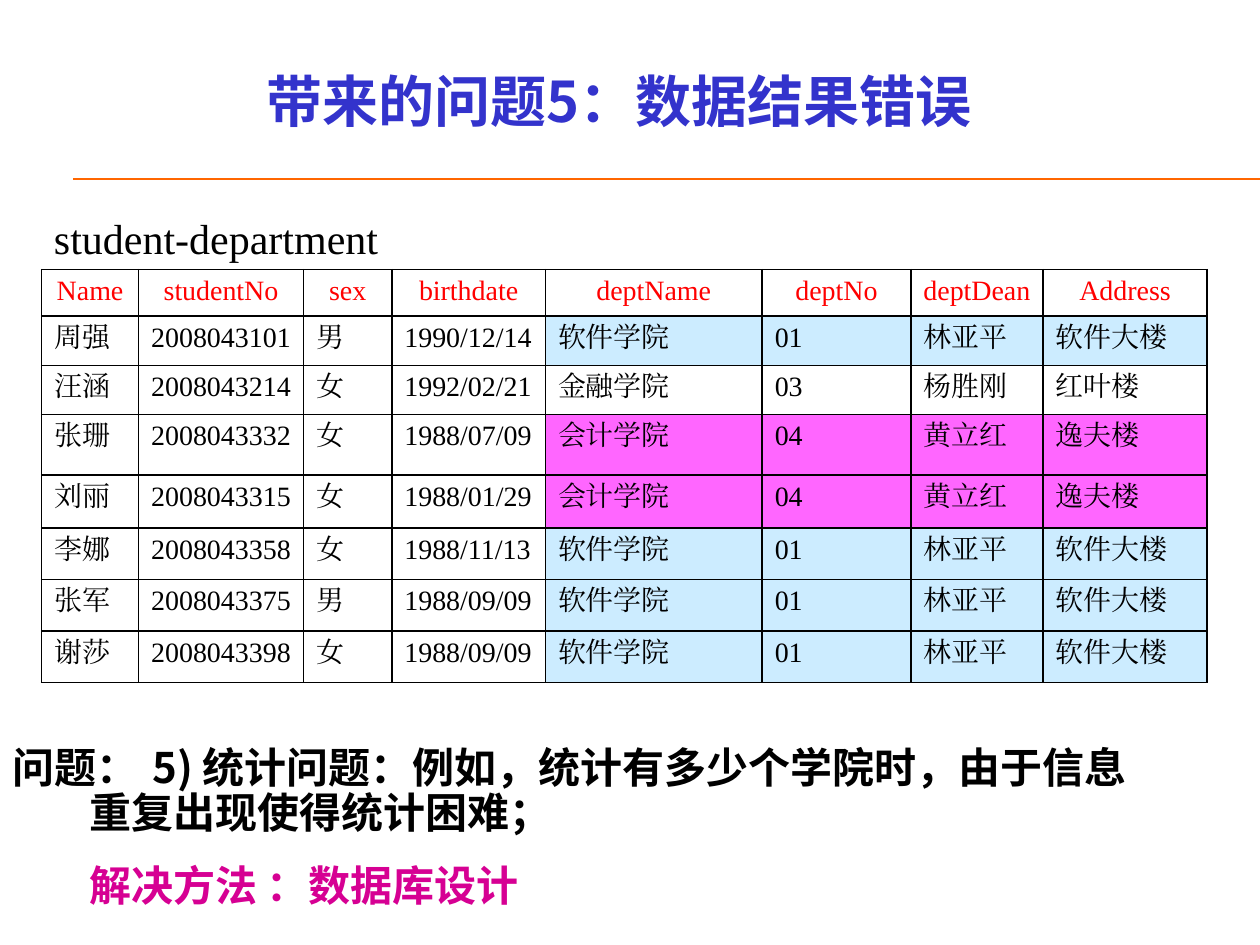
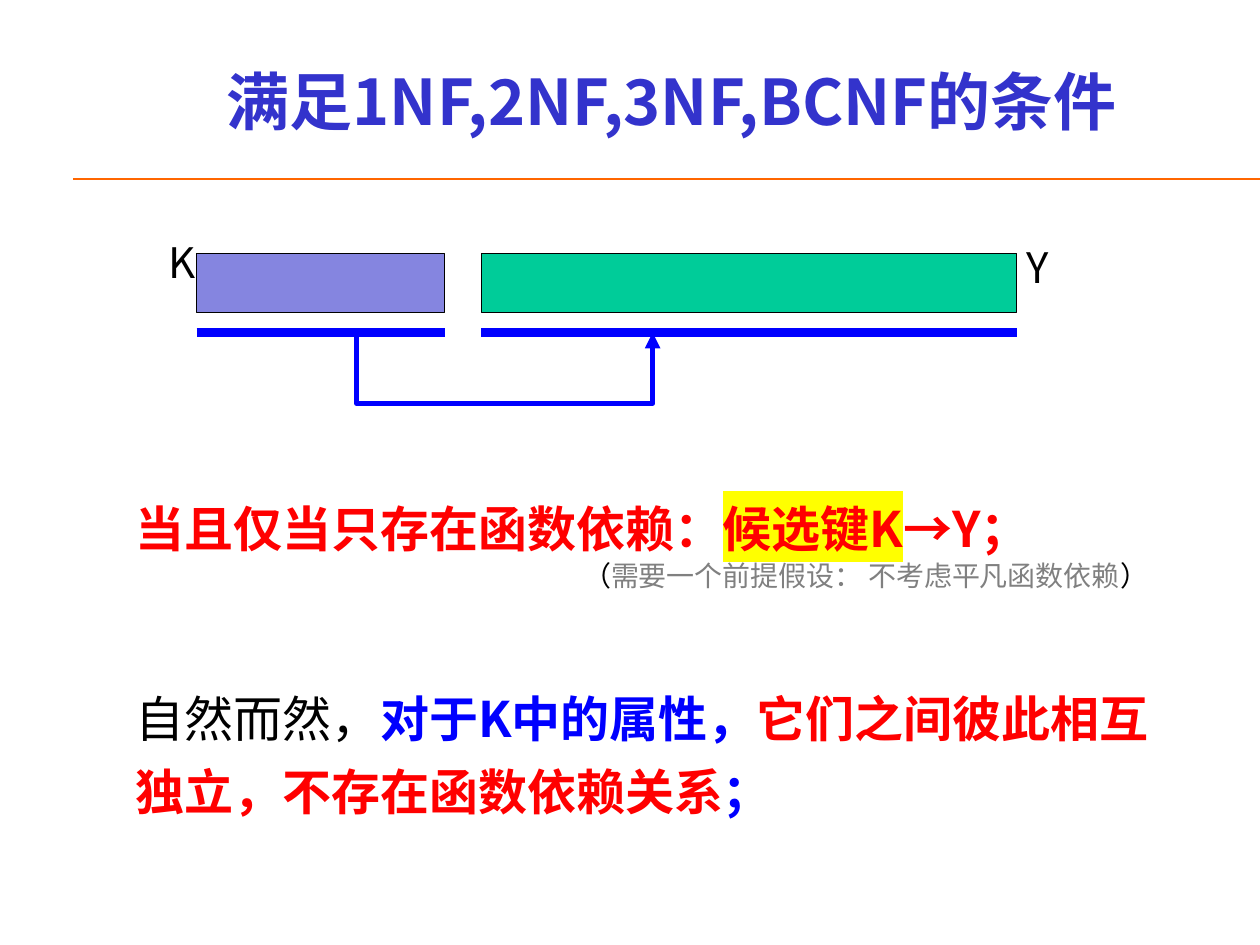
from lxml.etree import SubElement
from pptx import Presentation
from pptx.dml.color import RGBColor
from pptx.enum.shapes import MSO_CONNECTOR, MSO_SHAPE
from pptx.enum.text import MSO_ANCHOR, MSO_AUTO_SIZE, PP_ALIGN
from pptx.oxml.ns import qn
from pptx.util import Inches, Pt

SANS, SERIF = "Noto Sans CJK SC", "Times New Roman"
BLACK, RED, BLUE, GREY = "000000", "FF0000", "0000FF", "808080"
TITLE_BLUE, RULE_ORANGE, MAGENTA = "3333CC", "FF6600", "D60093"
KEY_FILL, REST_FILL, YELLOW = "8585E0", "00CC99", "FFFF00"

COL_WIDTHS = [0.77, 1.31, 0.7, 1.22, 1.72, 1.18, 1.05, 1.3]
ROW_HEIGHTS = [0.37, 0.39, 0.39, 0.48, 0.42, 0.41, 0.41, 0.41]
HEADINGS = ["Name", "studentNo", "sex", "birthdate",
            "deptName", "deptNo", "deptDean", "Address"]
DEPARTMENTS = {
    "01": ["软件学院", "01", "林亚平", "软件大楼"],
    "03": ["金融学院", "03", "杨胜刚", "红叶楼"],
    "04": ["会计学院", "04", "黄立红", "逸夫楼"],
}
DEPARTMENT_FILLS = {"01": "CCECFF", "04": "FF66FF"}
STUDENTS = [
    ("周强", "2008043101", "男", "1990/12/14", "01"),
    ("汪涵", "2008043214", "女", "1992/02/21", "03"),
    ("张珊", "2008043332", "女", "1988/07/09", "04"),
    ("刘丽", "2008043315", "女", "1988/01/29", "04"),
    ("李娜", "2008043358", "女", "1988/11/13", "01"),
    ("张军", "2008043375", "男", "1988/09/09", "01"),
    ("谢莎", "2008043398", "女", "1988/09/09", "01"),
]


def rgb(color):
    return RGBColor.from_string(color)


def place(shape, *box):
    for side, value in zip(("left", "top", "width", "height"), box):
        setattr(shape, side, Inches(value))


def add_run(p, text, size, color=BLACK, bold=False, font=SANS, highlight=None):
    r = p.add_run()
    r.text = text
    for name, value in {"size": Pt(size), "bold": bold, "name": font}.items():
        setattr(r.font, name, value)
    r.font.color.rgb = rgb(color)
    rPr = r.font._element
    east_asian = SubElement(rPr, qn("a:ea"), typeface=font)
    rPr.find(qn("a:latin")).addnext(east_asian)
    if highlight:
        mark = SubElement(rPr, qn("a:highlight"))
        SubElement(mark, qn("a:srgbClr"), val=highlight)
        rPr.find(qn("a:solidFill")).addnext(mark)


def format_paragraph(p, **values):
    for name, value in values.items():
        setattr(p, name, value)


def add_text(s, box, runs, wrap=True, anchor=MSO_ANCHOR.TOP, **values):
    """Add a text box whose first paragraph holds the runs."""
    tf = s.shapes.add_textbox(*map(Inches, box)).text_frame
    tf.word_wrap = wrap
    tf.vertical_anchor = anchor
    p = tf.paragraphs[0]
    format_paragraph(p, **values)
    for text, fmt in runs:
        add_run(p, text, **fmt)
    return tf


def add_line(s, start, end, color, width):
    line = s.shapes.add_connector(
        MSO_CONNECTOR.STRAIGHT, *map(Inches, (*start, *end)))
    line.line.color.rgb = rgb(color)
    line.line.width = Pt(width)
    SubElement(line._element.spPr, qn("a:effectLst"))


def add_titled_slide(prs, layout, title, box, size):
    s = prs.slides.add_slide(prs.slide_layouts[layout])
    add_line(s, (0.58, 1.42), (10, 1.42), RULE_ORANGE, 0.75)
    place(s.shapes.title, *box)
    tf = s.shapes.title.text_frame
    tf.auto_size = MSO_AUTO_SIZE.NONE
    tf.vertical_anchor = MSO_ANCHOR.MIDDLE
    tf.paragraphs[0].alignment = PP_ALIGN.CENTER
    add_run(tf.paragraphs[0], title, size, TITLE_BLUE, True)
    return s


def border_cell(cell):
    tcPr = cell._tc.get_or_add_tcPr()
    for i, side in enumerate(("lnL", "lnR", "lnT", "lnB")):
        ln = SubElement(tcPr, qn(f"a:{side}"), w=str(Pt(1)))
        fill = SubElement(ln, qn("a:solidFill"))
        SubElement(fill, qn("a:srgbClr"), val=BLACK)
        tcPr.insert(i, ln)


def fill_cell(cell, text, color, align, fill=None):
    if fill:
        cell.fill.solid()
        cell.fill.fore_color.rgb = rgb(fill)
    else:
        cell.fill.background()
    border_cell(cell)
    p = cell.text_frame.paragraphs[0]
    p.alignment = align
    add_run(p, text, 16, color, font=SERIF)


def add_student_table(s, left, top):
    table = s.shapes.add_table(
        len(ROW_HEIGHTS), len(COL_WIDTHS), Inches(left), Inches(top),
        Inches(sum(COL_WIDTHS)), Inches(sum(ROW_HEIGHTS))).table
    table.first_row = table.horz_banding = False
    for column, width in zip(table.columns, COL_WIDTHS):
        column.width = Inches(width)
    for row, height in zip(table.rows, ROW_HEIGHTS):
        row.height = Inches(height)
    for c, heading in enumerate(HEADINGS):
        fill_cell(table.cell(0, c), heading, RED, PP_ALIGN.CENTER)
    for r, (*student, dept) in enumerate(STUDENTS, 1):
        for c, text in enumerate(student + DEPARTMENTS[dept]):
            fill = DEPARTMENT_FILLS.get(dept) if c >= len(student) else None
            fill_cell(table.cell(r, c), text, BLACK, PP_ALIGN.LEFT, fill)


def add_problem_text(body):
    place(body, 0, 5.88, 9.73, 1.47)
    tf = body.text_frame
    tf.auto_size = MSO_AUTO_SIZE.NONE
    problem, solution = tf.paragraphs[0], tf.add_paragraph()
    for p, indent in ((problem, -0.61), (solution, 0)):
        pPr = p._p.get_or_add_pPr()
        pPr.set("marL", str(Inches(0.61)))
        pPr.set("indent", str(Inches(indent)))
        SubElement(pPr, qn("a:buNone"))
        p.line_spacing = 0.9
    tabs = SubElement(problem._p.pPr, qn("a:tabLst"))
    SubElement(tabs, qn("a:tab"), pos=str(Inches(1.23)), algn="l")
    problem.space_before, solution.space_before = Pt(0), Pt(15.5)
    add_run(problem, "问题：\t5) 统计问题：例如，统计有多少个学院时，由于信息", 24, bold=True)
    problem.add_line_break()
    add_run(problem, "重复出现使得统计困难；", 24, bold=True)
    add_run(solution, "解决方法 ：数据库设计", 24, MAGENTA, True)


def add_attribute_bar(s, left, width, fill, underline_y):
    bar = s.shapes.add_shape(
        MSO_SHAPE.RECTANGLE, *map(Inches, (left, 2.01, width, 0.47)))
    bar.shadow.inherit = False
    bar.fill.solid()
    bar.fill.fore_color.rgb = rgb(fill)
    bar.line.color.rgb = rgb(BLACK)
    bar.line.width = Pt(0.75)
    add_line(s, (left, underline_y), (left + width, underline_y), BLUE, 5.5)


def add_elbow_arrow(s, points):
    start, *rest = [tuple(map(Inches, point)) for point in points]
    builder = s.shapes.build_freeform(*start)
    builder.add_line_segments(rest, close=False)
    arrow = builder.convert_to_shape()
    arrow.shadow.inherit = False
    arrow.fill.background()
    arrow.line.color.rgb = rgb(BLUE)
    arrow.line.width = Pt(3)
    SubElement(arrow.line._get_or_add_ln(), qn("a:tailEnd"), type="triangle")


def add_dependency_diagram(s):
    underline_y, drop = 2.64, 0.56
    for left, width, fill in ((1.56, 1.97, KEY_FILL), (3.82, 4.25, REST_FILL)):
        add_attribute_bar(s, left, width, fill, underline_y)
    low = underline_y + drop
    add_elbow_arrow(s, [(2.83, underline_y), (2.83, low),
                        (5.18, low), (5.18, underline_y)])
    for label, left, top in (("K", 1.24, 1.87), ("Y", 8.05, 1.91)):
        add_text(s, (left, top, 0.4, 0.46), [(label, {"size": 24})],
                 wrap=False, line_spacing=0.9)


def add_conditions(s):
    strong = {"size": 28, "color": RED, "bold": True}
    blue = {**strong, "color": BLUE}
    tf = add_text(s, (0.98, 3.79, 8.6, 2.8), [
        ("当且仅当只存在函数依赖：", strong),
        ("候选键K", {**strong, "highlight": YELLOW}),
        ("→Y；", strong),
    ], line_spacing=1.25)
    p = tf.add_paragraph()
    format_paragraph(p, line_spacing=1.25, space_before=Pt(66.5))
    for text, fmt in (("自然而然，", {"size": 28}),
                      ("对于K中的属性，", blue),
                      ("它们之间彼此相互独立，不存在函数依赖关系", strong),
                      ("；", blue)):
        add_run(p, text, **fmt)
    add_text(s, (4.53, 4.33, 4.81, 0.4), [
        ("（", {"size": 16}),
        ("需要一个前提假设： 不考虑平凡函数依赖", {"size": 16, "color": GREY}),
        ("）", {"size": 16}),
    ], line_spacing=1.2)


def main():
    prs = Presentation()
    prs.slide_width, prs.slide_height = Inches(10), Inches(7.5)

    s = add_titled_slide(prs, 1, "带来的问题5：数据结果错误",
                         (0.5, 0.17, 8.83, 1.25), 32)
    add_problem_text(s.placeholders[1])
    add_text(s, (0.33, 1.64, 3.25, 0.5),
             [("student-department", {"size": 24, "font": SERIF})],
             anchor=MSO_ANCHOR.MIDDLE)
    add_student_table(s, 0.33, 2.14)

    s = add_titled_slide(prs, 5, "满足1NF,2NF,3NF,BCNF的条件",
                         (1.08, 0.17, 8.5, 1.25), 36)
    add_dependency_diagram(s)
    add_conditions(s)

    prs.save("out.pptx")


if __name__ == "__main__":
    main()
